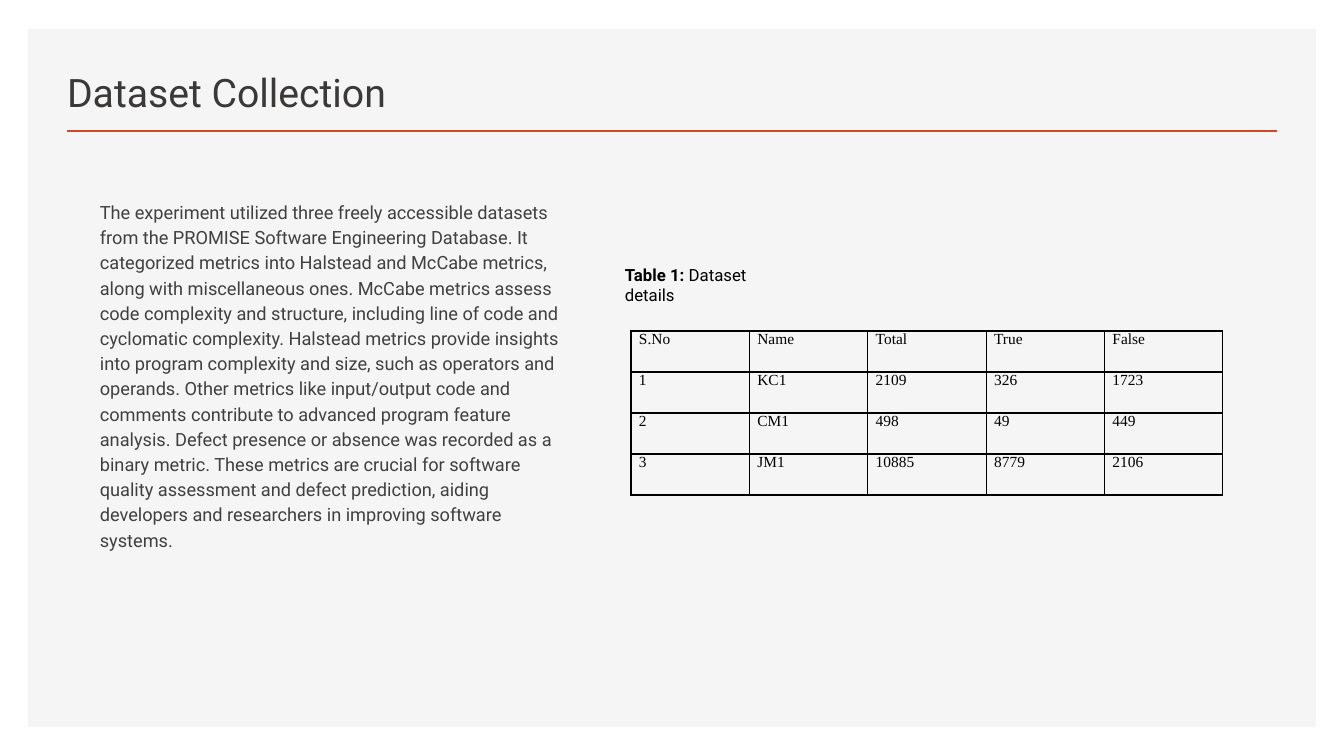
import pptx
import pptx.dml.color
import pptx.enum.shapes
import pptx.enum.text
import pptx.oxml
import pptx.oxml.ns
import pptx.util

RGBColor = pptx.dml.color.RGBColor
PANEL = RGBColor(0xF5, 0xF5, 0xF5)
ACCENT = RGBColor(0xD2, 0x47, 0x26)
TITLE = RGBColor(0x3B, 0x38, 0x38)
BODY = RGBColor(0x40, 0x40, 0x40)
BLACK = RGBColor(0, 0, 0)

Pt = pptx.util.Pt
EMU_PER_PX = 914400 / 100.8


def px(*lengths):
    return [pptx.util.Emu(round(n * EMU_PER_PX)) for n in lengths]


def add_run(p, text, size, color, name="Roboto", bold=False):
    r = p.add_run()
    r.text = text
    r.font.color.rgb = color
    for key, value in {"size": Pt(size), "name": name, "bold": bold}.items():
        setattr(r.font, key, value)


prs = pptx.Presentation()
prs.slide_width, prs.slide_height = px(1344, 756)
s = prs.slides.add_slide(prs.slide_layouts[5])

# Title
title = s.shapes.title
title.left, title.top, title.width, title.height = px(57, 49, 758, 71)
tf = title.text_frame
for key, value in {"vertical_anchor": pptx.enum.text.MSO_ANCHOR.BOTTOM, "word_wrap": True,
                   "auto_size": pptx.enum.text.MSO_AUTO_SIZE.NONE}.items():
    setattr(tf, key, value)
p = tf.paragraphs[0]
p.alignment = pptx.enum.text.PP_ALIGN.LEFT
add_run(p, "Dataset Collection", 28, TITLE)

# Grey panel and rule, behind the title
panel = s.shapes.add_shape(pptx.enum.shapes.MSO_SHAPE.RECTANGLE, *px(28, 29, 1288, 698))
panel.shadow.inherit = False
panel.fill.solid()
panel.fill.fore_color.rgb = PANEL
panel.line.fill.background()
rule = s.shapes.add_connector(pptx.enum.shapes.MSO_CONNECTOR.STRAIGHT, *px(67, 131, 1277, 131))
rule.line.color.rgb = ACCENT
rule.line.width = Pt(2)
rule.element.spPr.append(pptx.oxml.parse_xml(
    f"<a:effectLst {pptx.oxml.ns.nsdecls('a')}/>"))
for sp in (panel, rule):
    title.element.addprevious(sp.element)

# Body text
tf = s.shapes.add_textbox(*px(90, 193, 487, 438)).text_frame
tf.word_wrap = True
p = tf.paragraphs[0]
for key, value in {"line_spacing": Pt(18), "space_before": Pt(10), "space_after": Pt(20)}.items():
    setattr(p, key, value)
add_run(p, "The experiment utilized three freely accessible datasets from the PROMISE Software "
           "Engineering Database. It categorized metrics into Halstead and McCabe metrics, along "
           "with miscellaneous ones. McCabe metrics assess code complexity and structure, "
           "including line of code and cyclomatic complexity. Halstead metrics provide insights "
           "into program complexity and size, such as operators and operands. Other metrics like "
           "input/output code and comments contribute to advanced program feature analysis. "
           "Defect presence or absence was recorded as a binary metric. These metrics are crucial "
           "for software quality assessment and defect prediction, aiding developers and "
           "researchers in improving software systems.", 13, BODY)

# Dataset table
rows = [
    ("S.No", "Name", "Total", "True", "False"),
    ("1", "KC1", "2109", "326", "1723"),
    ("2", "CM1", "498", "49", "449"),
    ("3", "JM1", "10885", "8779", "2106"),
]
table = s.shapes.add_table(len(rows), len(rows[0]), *px(631, 331, 592, 164)).table
table.first_row = table.horz_banding = False
side, none, indent = px(7, 0, 1)
cell_format = {"margin_left": side, "margin_right": side, "margin_top": none, "margin_bottom": none}
para_format = {"line_spacing": 0.97, "space_before": Pt(2), "space_after": Pt(6)}
for i, row in enumerate(rows):
    for j, text in enumerate(row):
        cell = table.cell(i, j)
        for key, value in cell_format.items():
            setattr(cell, key, value)
        p = cell.text_frame.paragraphs[0]
        for key, value in para_format.items():
            setattr(p, key, value)
        add_run(p, text, 11, BLACK, "Times New Roman")
        p.runs[0].font.language_id = None
        p.alignment = pptx.enum.text.PP_ALIGN.LEFT
        p.line_spacing = 0.97
        cell.text_frame.paragraphs[0]._p.get_or_add_pPr().set("marL", str(indent))
        cell.fill.background()
        tc_pr = cell._tc.get_or_add_tcPr()
        for k, edge in enumerate(("lnL", "lnR", "lnT", "lnB")):
            tc_pr.insert(k, pptx.oxml.parse_xml(
                f"<a:{edge} {pptx.oxml.ns.nsdecls('a')} w='{Pt(1)}'><a:solidFill>"
                f"<a:srgbClr val='{BLACK}'/></a:solidFill></a:{edge}>"))

# Table caption
tf = s.shapes.add_textbox(*px(615, 270, 178, 30)).text_frame
tf.word_wrap = True
tf.vertical_anchor = pptx.enum.text.MSO_ANCHOR.MIDDLE
p = tf.paragraphs[0]
add_run(p, "Table 1: ", 12, BLACK, bold=True)
add_run(p, "Dataset details", 12, BLACK)

prs.save("out.pptx")
